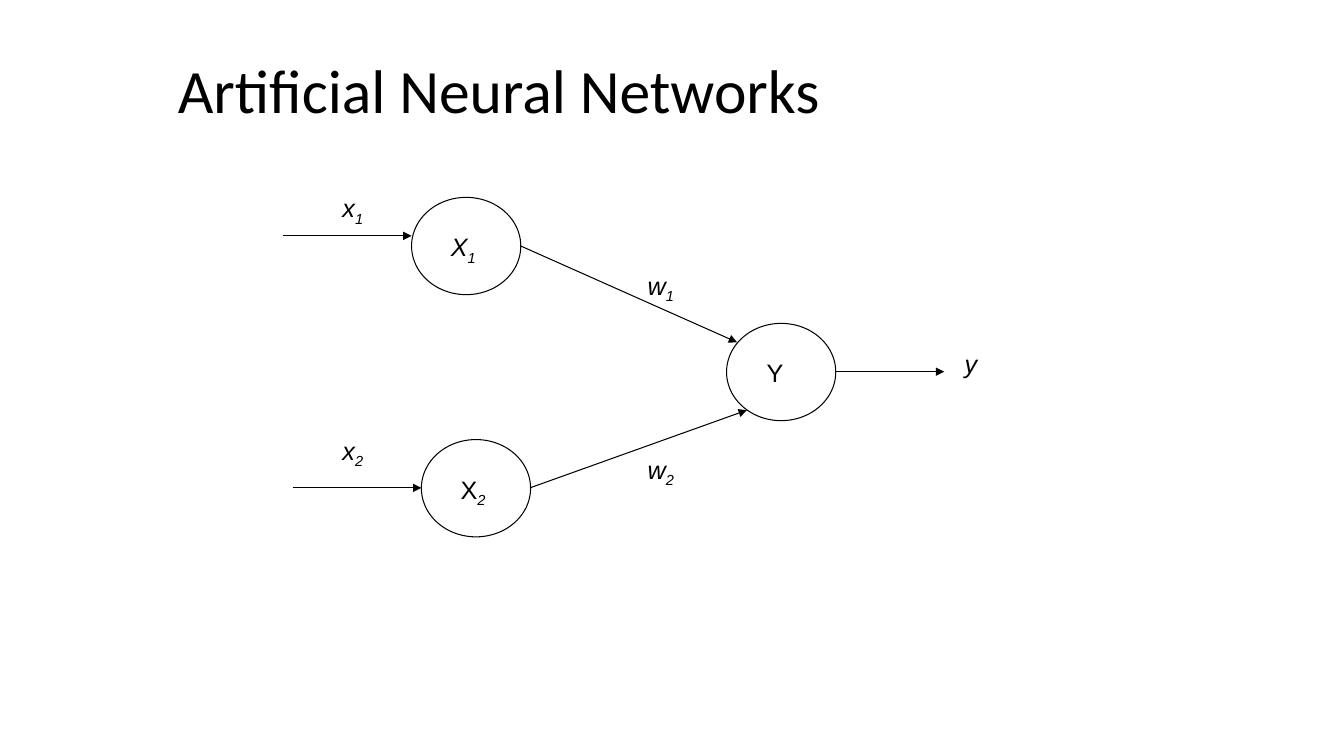
from lxml import etree
from pptx import Presentation
from pptx.dml.color import RGBColor
from pptx.enum import shapes, text
from pptx.oxml import ns
from pptx.util import Pt

BLACK = RGBColor(0, 0, 0)
NODE_W, NODE_H = 78, 69.5
LABEL_H = 29

# Left and top of each neuron
NODES = [(294, 141), (301, 314), (519, 231)]

# Start and end of each arrow
ARROWS = [
    (202, 168.5, 294, 168.5),
    (209.5, 348.5, 301, 348.5),
    (597, 265.5, 674.5, 265.5),
    (371.5, 175.5, 526.5, 244.5),
    (378.5, 348.5, 533.5, 293),
]

# Left, top, width, wrap, letter, italic letter, subscript
LABELS = [
    (237.5, 134, 49, True, "x", True, "1"),
    (237.5, 307.5, 49, True, "x", True, "2"),
    (315, 162, 33, False, "X", True, "1"),
    (322, 335, 33, False, "X", False, "2"),
    (455.5, 189.5, 49.5, True, "w", True, "1"),
    (455.5, 321, 49.5, True, "w", True, "2"),
    (540.5, 252, 35.5, True, "Y", False, ""),
    (682, 245, 42.5, True, "y", True, ""),
]


def add_run(para, words, font, size, italic=False):
    run = para.add_run()
    run.text = words
    run.font.name = font
    run.font.size = Pt(size)
    run.font.italic = italic
    run.font.color.rgb = BLACK
    return run


def add_box(parent, left, top, width, height, wrap=True):
    box = parent.add_textbox(Pt(left), Pt(top), Pt(width), Pt(height))
    box.text_frame.word_wrap = wrap
    return box.text_frame


def add_title(parent):
    frame = add_box(parent, 120, 21.5, 648, 90)
    frame.vertical_anchor = text.MSO_ANCHOR.MIDDLE
    para = frame.paragraphs[0]
    para.line_spacing = 0.9
    add_run(para, "Artificial Neural Networks", "Calibri", 44)


def add_node(parent, left, top):
    node = parent.add_shape(shapes.MSO_SHAPE.OVAL, Pt(left), Pt(top),
                            Pt(NODE_W), Pt(NODE_H))
    node.shadow.inherit = False
    node.fill.background()
    node.line.color.rgb = BLACK
    node.line.width = Pt(0.75)


def add_arrow(parent, *ends):
    arrow = parent.add_connector(shapes.MSO_CONNECTOR.STRAIGHT,
                                 *[Pt(end) for end in ends])
    arrow.line.color.rgb = BLACK
    arrow.line.width = Pt(0.75)
    props = arrow._element.spPr
    tail = etree.SubElement(props.find(ns.qn("a:ln")), ns.qn("a:tailEnd"))
    tail.set("type", "triangle")
    etree.SubElement(props, ns.qn("a:effectLst"))


def add_label(parent, left, top, width, wrap, letter, italic, index):
    frame = add_box(parent, left, top, width, LABEL_H, wrap)
    frame.auto_size = text.MSO_AUTO_SIZE.SHAPE_TO_FIT_TEXT
    para = frame.paragraphs[0]
    add_run(para, letter, "Arial", 18, italic)
    if index:
        sub = add_run(para, index, "Arial", 18, True)
        sub.font._element.set("baseline", "-25000")


def main():
    deck = Presentation()
    deck.slide_width, deck.slide_height = Pt(960), Pt(540)
    slide = deck.slides.add_slide(deck.slide_layouts[6])
    add_title(slide.shapes)

    # Network diagram, kept together as a group
    net = slide.shapes.add_group_shape().shapes
    for node in NODES:
        add_node(net, *node)
    for ends in ARROWS:
        add_arrow(net, *ends)
    for label in LABELS:
        add_label(net, *label)

    deck.save("out.pptx")


if __name__ == "__main__":
    main()
